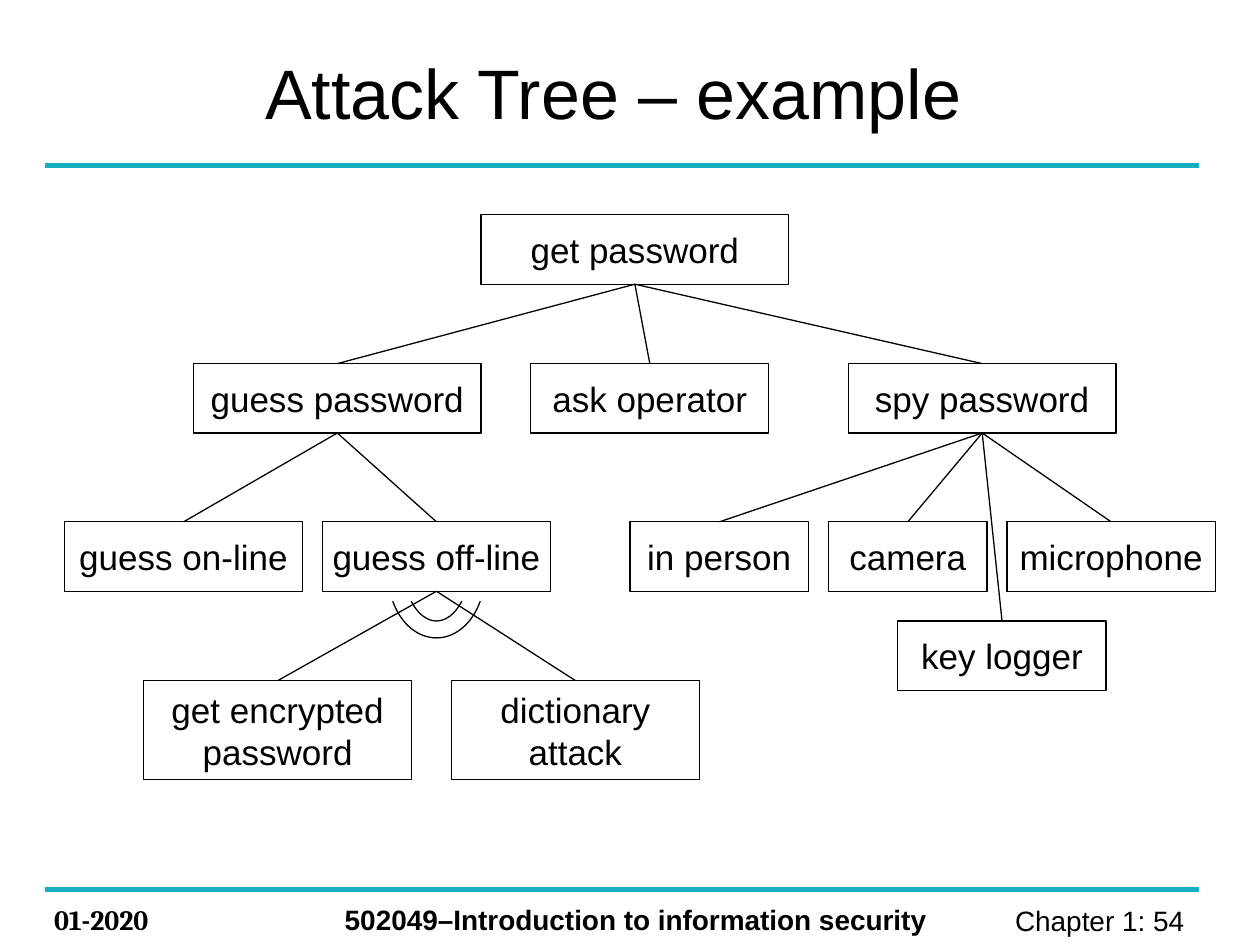
from pptx import Presentation
from pptx.dml.color import RGBColor
from pptx.enum.shapes import MSO_CONNECTOR, MSO_SHAPE
from pptx.enum.text import MSO_ANCHOR, PP_ALIGN
from pptx.oxml.ns import qn
from pptx.util import Cm, Pt

STRAIGHT = MSO_CONNECTOR.STRAIGHT
RECT, OVAL = MSO_SHAPE.RECTANGLE, MSO_SHAPE.OVAL
TOP, MIDDLE = MSO_ANCHOR.TOP, MSO_ANCHOR.MIDDLE
LEFT, CENTER, RIGHT = PP_ALIGN.LEFT, PP_ALIGN.CENTER, PP_ALIGN.RIGHT
BLACK = RGBColor(0, 0, 0)

THEME = {
    "teal": RGBColor(0x16, 0xAF, 0xC2),
    "white": RGBColor(255, 255, 255),
    "rule": Pt(3),
    "thin": Pt(0.75),
    "title": {"size": Pt(40), "name": "Arial", "bold": False},
    "node": {"size": Pt(20), "name": "Arial", "bold": False},
    "page": {"size": Pt(16), "name": "Arial", "bold": False},
    "course": {"size": Pt(16), "name": "Arial", "bold": True},
    "date": {"size": Pt(16), "name": "Cambria", "bold": True},
}


def write(shape, text, style, align, anchor, wrap):
    """Fill a shape with text, one paragraph per line."""
    frame = shape.text_frame
    frame.text = text
    frame.word_wrap = wrap
    frame.vertical_anchor = anchor
    for para in frame.paragraphs:
        para.alignment = align
        para.font.color.rgb = BLACK
        for key, value in THEME[style].items():
            setattr(para.font, key, value)


def draw(line, color, width):
    """Colour a connector and clear its shadow."""
    line.line.color.rgb = color
    line.line.width = width
    props = line._element.spPr
    props.append(props.makeelement(qn("a:effectLst"), {}))


deck = Presentation()
deck.slide_width, deck.slide_height = Cm(25.4), Cm(19.05)
slide = deck.slides.add_slide(deck.slide_layouts[6])
shapes = slide.shapes

# Rules, title and footer
for y in (3.33, 17.93):
    rule = shapes.add_connector(STRAIGHT, Cm(0.9), Cm(y), Cm(24.18), Cm(y))
    draw(rule, THEME["teal"], THEME["rule"])

labels = [
    ("Attack Tree – example ", "title", (5.1, 0.74, 18.6, 2.2), LEFT, MIDDLE),
    ("01-2020", "date", (0.84, 18.06, 3.38, 0.94), LEFT, TOP),
    ("502049–Introduction to information security", "course",
     (6.7, 18.06, 12.8, 0.94), LEFT, TOP),
    ("Chapter 1: 54 ", "page", (18.7, 18.08, 5.58, 0.94), RIGHT, TOP),
]
for text, style, area, align, anchor in labels:
    box = shapes.add_textbox(*map(Cm, area))
    write(box, text, style, align, anchor, True)

# Double arc that joins the two off-line steps; the mask hides the upper part
arcs = [
    (OVAL, (7.83, 10.32, 1.94, 2.54)),
    (OVAL, (8.1, 9.98, 1.4, 2.54)),
    (RECT, (7.1, 9.32, 3.2, 2.8)),
]
for kind, area in arcs:
    arc = shapes.add_shape(kind, *map(Cm, area))
    arc.shadow.inherit = False
    if kind == OVAL:
        arc.fill.background()
        arc.line.color.rgb = BLACK
        arc.line.width = THEME["thin"]
    else:
        arc.fill.solid()
        arc.fill.fore_color.rgb = THEME["white"]
        arc.line.fill.background()

# Tree rows: top, height, then (text, left, width, parent)
rows = [
    (4.33, 1.4, [("get password", 9.7, 6.2, None)]),
    (7.33, 1.4, [
        ("guess password", 3.9, 5.8, "get password"),
        ("ask operator", 10.7, 4.8, "get password"),
        ("spy password", 17.1, 5.4, "get password"),
    ]),
    (10.52, 1.4, [
        ("guess on-line", 1.3, 4.8, "guess password"),
        ("guess off-line", 6.5, 4.6, "guess password"),
        ("in person", 12.7, 3.6, "spy password"),
        ("camera", 16.7, 3.2, "spy password"),
        ("microphone", 20.3, 4.2, "spy password"),
    ]),
    (12.52, 1.4, [("key logger", 18.1, 4.2, "spy password")]),
    (13.72, 2, [
        ("get encrypted\npassword", 2.9, 5.4, "guess off-line"),
        ("dictionary\nattack", 9.1, 5, "guess off-line"),
    ]),
]
nodes = {}
for top, height, items in rows:
    for text, left, width, parent in items:
        node = shapes.add_shape(RECT, Cm(left), Cm(top), Cm(width), Cm(height))
        node.shadow.inherit = False
        node.fill.background()
        node.line.color.rgb = BLACK
        node.line.width = THEME["thin"]
        write(node, text, "node", CENTER, MIDDLE, False)
        nodes[text] = node
        if parent:
            link = shapes.add_connector(STRAIGHT, 0, 0, 0, 0)
            link.begin_connect(nodes[parent], 2)
            link.end_connect(node, 0)
            draw(link, BLACK, THEME["thin"])

deck.save("out.pptx")
